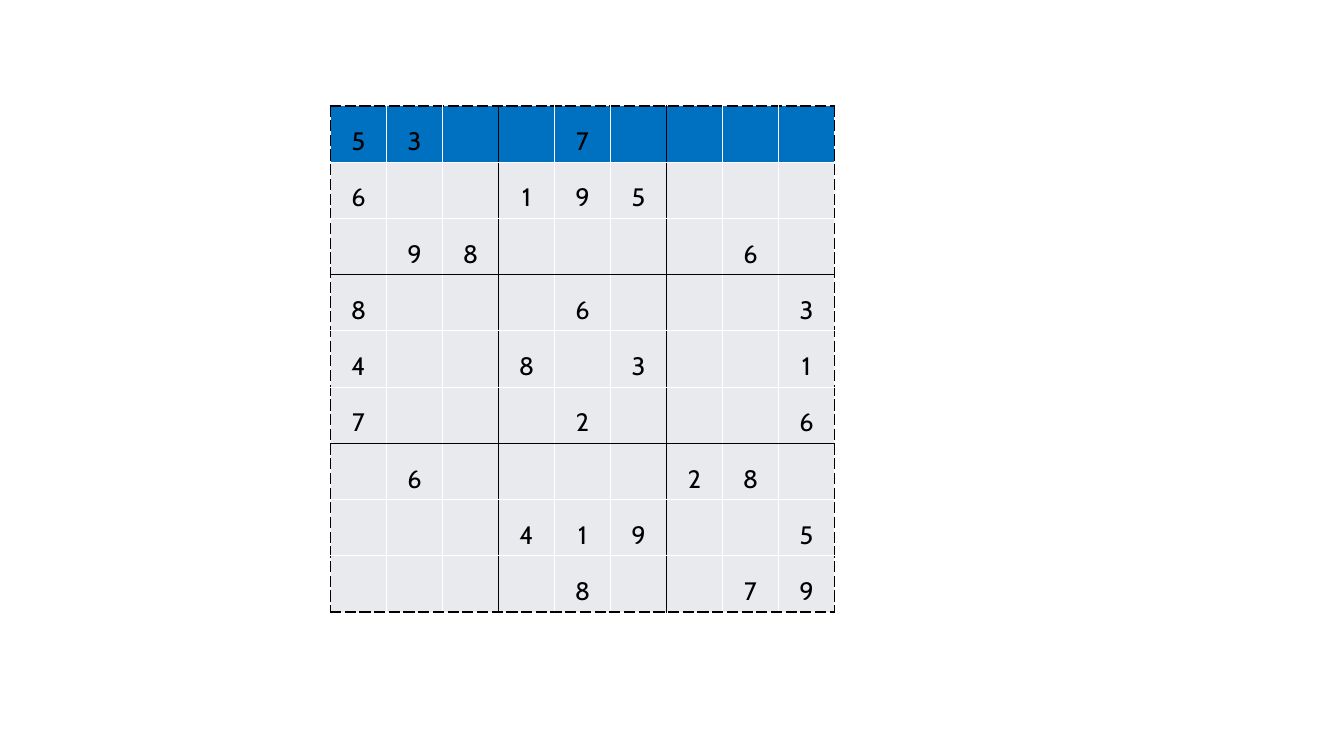
import pptx
import pptx.dml.color
import pptx.enum.text
import pptx.oxml.ns
import pptx.util
from lxml import etree

Cm, Pt = pptx.util.Cm, pptx.util.Pt
RGBColor = pptx.dml.color.RGBColor

BLACK = RGBColor(0x00, 0x00, 0x00)
WHITE = RGBColor(0xFF, 0xFF, 0xFF)
BLUE = RGBColor(0x00, 0x70, 0xC0)
GREY = RGBColor(0xE8, 0xEA, 0xED)

DIGIT_FONT = {"name": "Cabin", "size": Pt(18), "bold": False}
SIZE, BLOCK = 9, 3
PUZZLE = [
    "53..7....",
    "6..195...",
    ".98....6.",
    "8...6...3",
    "4..8.3..1",
    "7...2...6",
    ".6....28.",
    "...419..5",
    "....8..79",
]


def line_style(index):
    """Colour and dash of grid line 0 to 9: dashed rim, black block edges, white inside."""
    if index in (0, SIZE):
        return BLACK, "sysDash"
    return (WHITE if index % BLOCK else BLACK), "solid"


def set_borders(cell, row, col):
    tc_pr = cell._tc.get_or_add_tcPr()
    qn = pptx.oxml.ns.qn
    grid_lines = {"a:lnL": col, "a:lnR": col + 1, "a:lnT": row, "a:lnB": row + 1}
    for position, (tag, index) in enumerate(grid_lines.items()):
        color, dash = line_style(index)
        ln = etree.Element(qn(tag), w=str(Pt(1)))
        fill = etree.SubElement(ln, qn("a:solidFill"))
        etree.SubElement(fill, qn("a:srgbClr"), val=str(color))
        etree.SubElement(ln, qn("a:prstDash"), val=dash)
        tc_pr.insert(position, ln)


def write_digit(cell, digit):
    p = cell.text_frame.paragraphs[0]
    p.alignment = pptx.enum.text.PP_ALIGN.CENTER
    p.line_spacing = 1.5
    r = p.add_run()
    r.text = digit
    for name, value in DIGIT_FONT.items():
        setattr(r.font, name, value)
    r.font.color.rgb = BLACK


def add_sudoku(s, left, top, side):
    table = s.shapes.add_table(SIZE, SIZE, left, top, side, side).table
    table.first_row = table.horz_banding = False
    for track in [*table.columns]:
        track.width = side // SIZE
    for track in [*table.rows]:
        track.height = side // SIZE
    for row, digits in enumerate(PUZZLE):
        for col, digit in enumerate(digits):
            cell = table.cell(row, col)
            cell.fill.solid()
            cell.fill.fore_color.rgb = GREY if row else BLUE
            set_borders(cell, row, col)
            if digit != ".":
                write_digit(cell, digit)


def main():
    prs = pptx.Presentation()
    prs.slide_width, prs.slide_height = Cm(33.87), Cm(19.05)
    s = prs.slides.add_slide(prs.slide_layouts[6])
    add_sudoku(s, Cm(8.33), Cm(2.67), Cm(12.7))
    prs.save("out.pptx")


if __name__ == "__main__":
    main()
